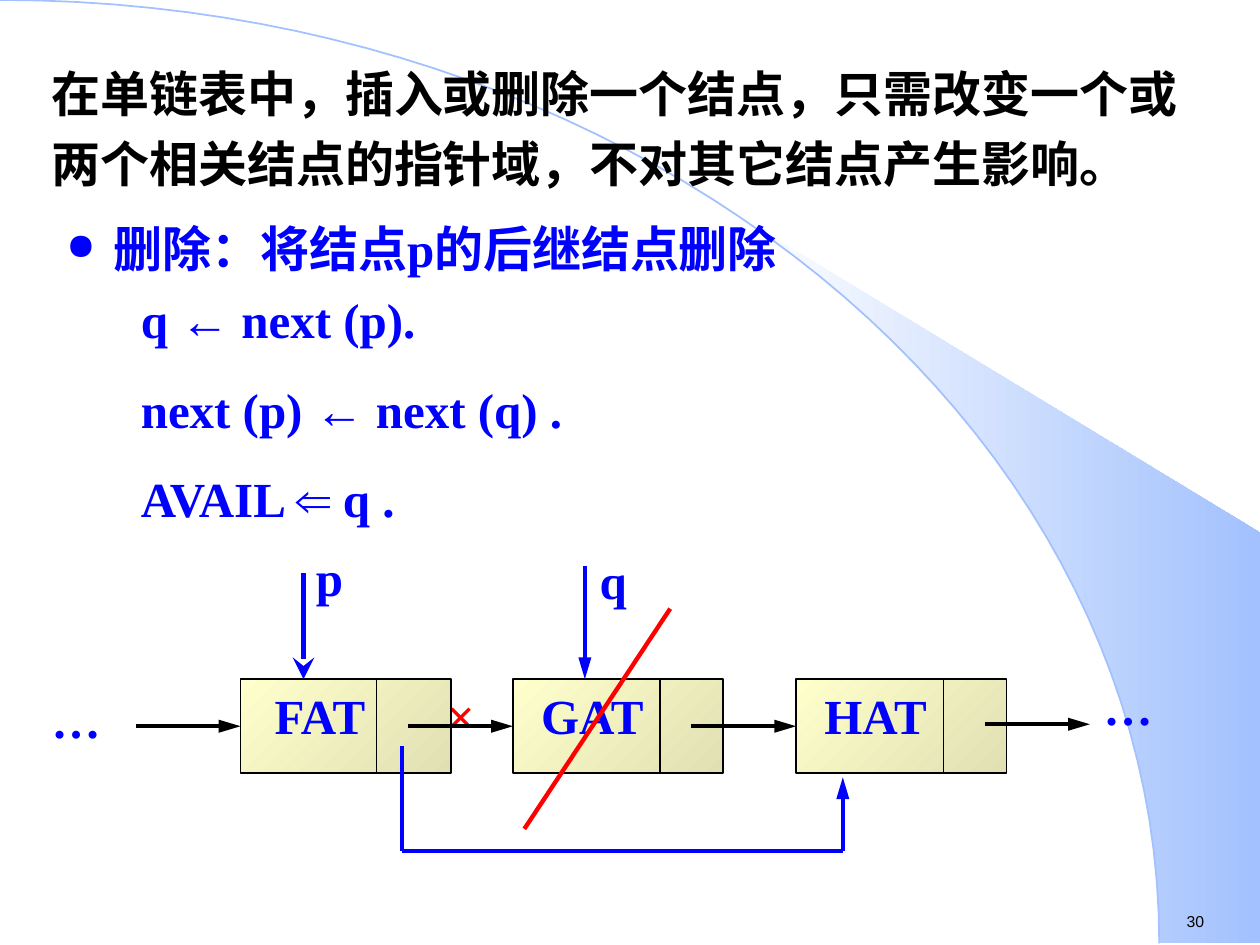
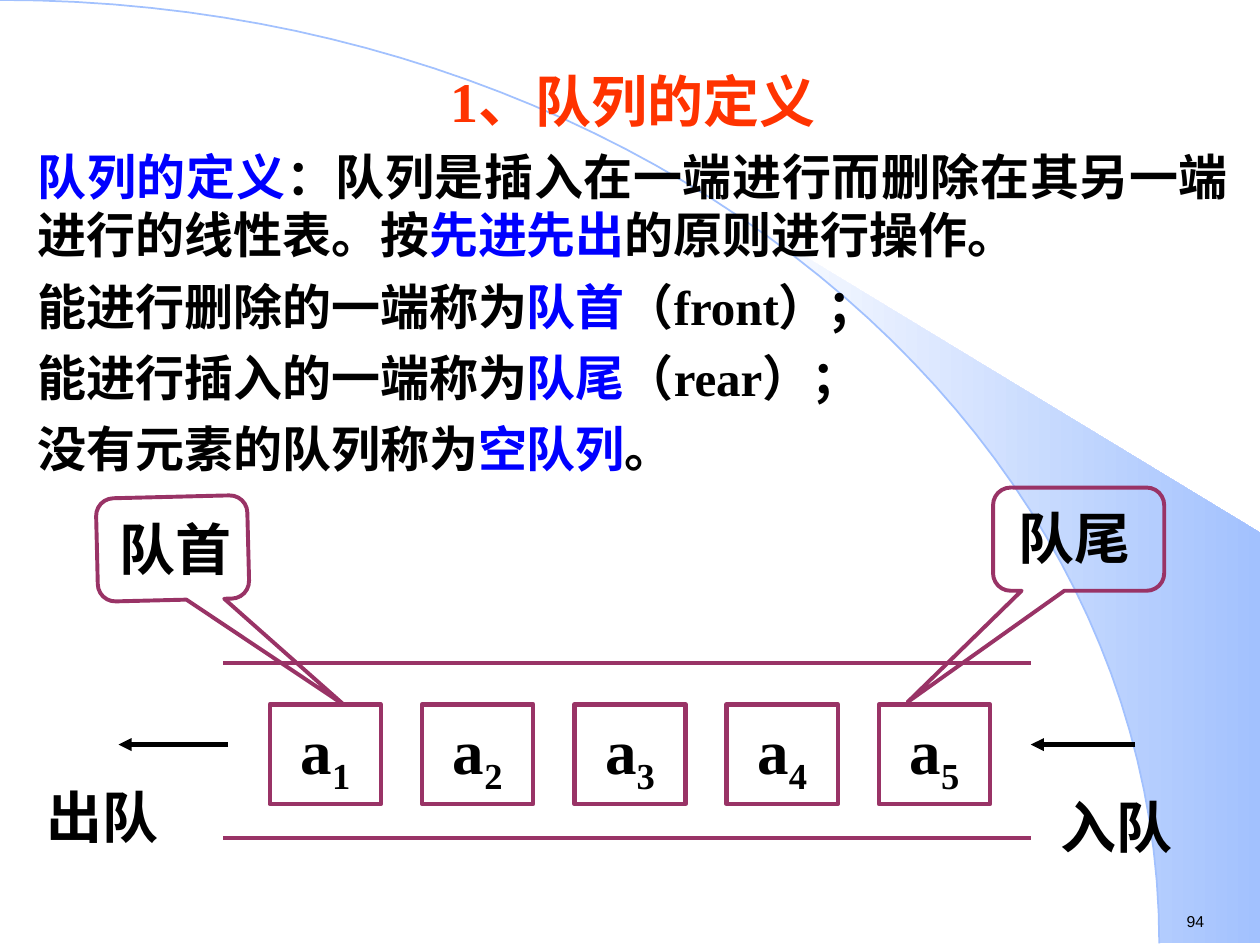
from lxml import etree
from pptx import Presentation
from pptx.dml.color import RGBColor
from pptx.enum.shapes import MSO_CONNECTOR, MSO_SHAPE
from pptx.enum.text import MSO_ANCHOR, PP_ALIGN as ALIGN
from pptx.oxml.ns import qn
from pptx.util import Cm, Pt

BLACK = RGBColor(0x00, 0x00, 0x00)
WHITE = RGBColor(0xFF, 0xFF, 0xFF)
BLUE = RGBColor(0x00, 0x00, 0xFF)
RED = RGBColor(0xFF, 0x00, 0x00)
ORANGE = RGBColor(0xFF, 0x33, 0x00)
PLUM = RGBColor(0x99, 0x33, 0x66)
SKY = RGBColor(0xA2, 0xC1, 0xFE)
CREAM = RGBColor(0xFF, 0xFF, 0xCC)
KHAKI = RGBColor(0xE0, 0xE0, 0xB3)

SERIF = "Times New Roman"
SANS = "Arial"
THICK = 2.5
ARC_STEPS = 50
WEDGE_START = 22  # arc step at which the shaded wedge begins


# ---- Shared helpers (all lengths in centimetres) ----

def write_para(para, runs, size=28, color=BLACK, font=SERIF, bold=True):
    """Each run is a (text, overrides) pair; overrides may hold color, font, shift."""
    for text, look in runs:
        span = para.add_run()
        span.text = text
        span.font.size = Pt(size)
        span.font.bold = bold
        span.font.name = look.get("font", font)
        span.font.color.rgb = look.get("color", color)
        if "shift" in look:
            span.font._element.set("baseline", str(look["shift"]))


def add_text(page, left, top, width, height, text, align=None, spacing=None,
             wrap=True, **style):
    box = page.shapes.add_textbox(Cm(left), Cm(top), Cm(width), Cm(height))
    box.text_frame.word_wrap = wrap
    para = box.text_frame.paragraphs[0]
    para.alignment = align
    para.line_spacing = spacing
    write_para(para, [(text, {})], **style)
    return box


def add_line(page, start, end, color, width=THICK, head=None, head_width="med",
             head_length="med"):
    line = page.shapes.add_connector(
        MSO_CONNECTOR.STRAIGHT, *(Cm(value) for value in (*start, *end)))
    line.line.color.rgb = color
    line.line.width = Pt(width)
    if head:
        etree.SubElement(line.line._get_or_add_ln(), qn("a:tailEnd"),
                         type=head, w=head_width, len=head_length)
    etree.SubElement(line._element.spPr, qn("a:effectLst"))
    return line


def fill_gradient(shape, first, last, angle):
    shape.fill.gradient()
    shape.fill.gradient_angle = (360 - angle) % 360
    for stop, color in zip(shape.fill.gradient_stops, (first, last)):
        stop.color.rgb = color


def add_outlined(page, kind, left, top, width, height, color, line_width):
    shape = page.shapes.add_shape(kind, Cm(left), Cm(top), Cm(width), Cm(height))
    shape.shadow.inherit = False
    shape.line.color.rgb = color
    shape.line.width = Pt(line_width)
    return shape


def add_outline(page, points, close):
    corners = [(Cm(x), Cm(y)) for x, y in points]
    builder = page.shapes.build_freeform(*corners[0])
    builder.add_line_segments(corners[1:], close=close)
    shape = builder.convert_to_shape()
    shape.shadow.inherit = False
    return shape


def bezier(t, a, b, c, d):
    u = 1 - t
    return u**3 * a + 3 * u**2 * t * b + 3 * u * t**2 * c + t**3 * d


def new_page(deck, number):
    """A blank page with the sweeping arc, shaded wedge and page number."""
    page = deck.slides.add_slide(deck.slide_layouts[6])
    steps = [step / ARC_STEPS for step in range(ARC_STEPS + 1)]
    arc = [(bezier(t, 0, 12.9, 23.37, 23.37), bezier(t, 0, 0, 8.51, 19.02))
           for t in steps]

    wedge = add_outline(page, arc[WEDGE_START:] + [(25.4, 19.02), (25.4, 10.74)], True)
    fill_gradient(wedge, WHITE, SKY, 0)
    wedge.line.fill.background()

    curve = add_outline(page, arc, False)
    curve.fill.background()
    curve.line.color.rgb = SKY
    curve.line.width = Pt(1)

    add_text(page, 23.67, 18.26, 1.96, 0.64, number, wrap=False,
             size=9, font=SANS, bold=False)
    return page


# ---- Linked list page ----

def add_bullet(para, color):
    properties = para._p.get_or_add_pPr()
    properties.set("marL", str(Cm(0.95)))
    properties.set("indent", str(-Cm(0.95)))
    bullet_color = etree.SubElement(properties, qn("a:buClr"))
    etree.SubElement(bullet_color, qn("a:srgbClr"), val=str(color))
    etree.SubElement(properties, qn("a:buSzPct"), val="75000")
    etree.SubElement(properties, qn("a:buChar"), char="●")


def add_deletion_steps(page, left, top):
    box = page.shapes.add_textbox(Cm(left), Cm(top), Cm(15.8), Cm(5.05))
    frame = box.text_frame
    frame.word_wrap = True
    steps = [("q ", "←", " next (p)."),
             ("next (p) ", "←", " next (q) ."),
             ("AVAIL ", "⇐", " q .")]
    for index, (target, arrow, source) in enumerate(steps):
        para = frame.add_paragraph() if index else frame.paragraphs[0]
        if index:
            para.space_before = Pt(17.5)
        write_para(para, [(target, {}), (arrow, {"font": SANS}), (source, {})],
                   color=BLUE)


def add_node(page, left, top, name, divider):
    node = add_outlined(page, MSO_SHAPE.RECTANGLE, left, top, 4.24, 1.9, BLACK, 1)
    fill_gradient(node, CREAM, KHAKI, 45)
    add_line(page, (left + divider, top), (left + divider, top + 1.9), BLACK, 1)
    add_text(page, left + 0.23, top, 2.74, 1.45, name, ALIGN.CENTER, color=BLUE)
    return node


def add_list_diagram(page, left, top):
    """Nodes in a row; left and top mark the corner of the first node."""
    middle = top + 0.95
    offsets = {"FAT": 0, "GAT": 5.49, "HAT": 11.2}
    dividers = {"FAT": 2.74, "GAT": 2.97, "HAT": 2.97}

    # Ellipses at both ends and the cross on the broken link
    for x, y in ((left - 4.06, top + 0.03), (left + 17.15, top - 0.23)):
        add_text(page, x, y, 2.11, 1.5, "…", spacing=1.05, color=BLUE)
    add_text(page, left + 3.91, top, 1.93, 1.45, "×", color=RED)

    # Nodes, each with the link that enters it, then the link that leaves
    nodes = {name: add_node(page, left + x, top, name, dividers[name])
             for name, x in offsets.items()}
    for name, x in offsets.items():
        link = add_line(page, (left + x - 2.11, middle), (left + x, middle), BLACK,
                        head="triangle", head_length="lg")
        link.end_connect(nodes[name], 1)
    add_line(page, (left + 15.01, middle - 0.04), (left + 17.12, middle - 0.04), BLACK,
             head="triangle", head_length="lg")

    # Pointers p and q
    pointers = [("p", 1.27, 2.13, 1.27, 2.77, "stealth", "lg"),
                ("q", 6.94, 2.28, 6.99, 2.72, "triangle", "med")]
    for name, x, rise, label_x, label_rise, head, head_width in pointers:
        add_line(page, (left + x, top - rise), (left + x, top), BLUE,
                 head=head, head_width=head_width, head_length="lg")
        add_text(page, left + label_x, top - label_rise, 1.27, 1.45, name, color=BLUE)

    # New link that goes round the deleted node
    bends = [(3.25, 1.35), (3.25, 3.46), (12.14, 3.46), (12.14, 1.98)]
    bends = [(left + x, top + y) for x, y in bends]
    for start, end in zip(bends, bends[1:]):
        add_line(page, start, end, BLUE, head_length="lg",
                 head="triangle" if end == bends[-1] else None)

    # Strike through the deleted node
    add_line(page, (left + 8.66, top - 1.42), (left + 5.72, top + 3.02), RED)


def build_linked_list_page(deck):
    page = new_page(deck, "30")
    heading = add_text(page, 1.09, 4.42, 16.2, 1.75, "删除：将结点p的后继结点删除",
                       spacing=0.9, color=BLUE)
    add_bullet(heading.text_frame.paragraphs[0], BLUE)
    add_text(page, 0.79, 0.91, 23.24, 3.1,
             "在单链表中，插入或删除一个结点，只需改变一个或两个相关结点的指针域，"
             "不对其它结点产生影响。", spacing=1.2)
    add_list_diagram(page, 4.85, 13.69)
    add_deletion_steps(page, 2.59, 5.72)


# ---- Queue page ----

def add_definition(page, left, top):
    box = page.shapes.add_textbox(Cm(left), Cm(top), Cm(24.51), Cm(8.51))
    frame = box.text_frame
    frame.word_wrap = True
    title = frame.paragraphs[0]
    title.alignment = ALIGN.CENTER
    write_para(title, [("1、队列的定义", {})], size=32, color=ORANGE)

    term = {"color": BLUE}
    statements = [
        [("队列的定义", term),
         ("：队列是插入在一端进行而删除在其另一端进行的线性表。按", {}),
         ("先进先出", term), ("的原则进行操作。", {})],
        [("能进行删除的一端称为", {}), ("队首", term), ("（front）；", {})],
        [("能进行插入的一端称为", {}), ("队尾", term), ("（rear）；", {})],
        [("没有元素的队列称为", {}), ("空队列", term), ("。", {})],
    ]
    for index, runs in enumerate(statements):
        para = frame.add_paragraph()
        para.alignment = ALIGN.LEFT if index else ALIGN.JUSTIFY
        para.space_before = Pt(7)
        write_para(para, runs)


def add_cell(page, left, top, index):
    cell = add_outlined(page, MSO_SHAPE.RECTANGLE, left, top, 2.24, 2.01, PLUM, THICK)
    cell.fill.solid()
    cell.fill.fore_color.rgb = WHITE
    cell.text_frame.vertical_anchor = MSO_ANCHOR.MIDDLE
    para = cell.text_frame.paragraphs[0]
    para.alignment = ALIGN.CENTER
    write_para(para, [("a", {}), (str(index), {"shift": -25000})], size=36)


def add_callout(page, left, top, width, height, adjustments, rotation=0):
    callout = add_outlined(page, MSO_SHAPE.ROUNDED_RECTANGULAR_CALLOUT,
                           left, top, width, height, PLUM, 2.25)
    callout.fill.background()
    callout.rotation = rotation
    for index, value in enumerate(adjustments):
        callout.adjustments[index] = value


def add_queue_diagram(page, left, top):
    """Queue between two rails; left and top mark the start of the upper rail."""
    for index in range(5):
        add_cell(page, left + 0.94 + index * 3.07, top + 0.84, index + 1)
    for y in (top, top + 3.53):
        add_line(page, (left, y), (left + 16.28, y), PLUM)

    # Arrows out of the front and into the rear
    for start, end in ((0.1, -2.11), (18.39, 16.28)):
        add_line(page, (left + start, top + 1.65), (left + end, top + 1.65), BLACK,
                 head="triangle")

    # Callouts and labels
    add_callout(page, left + 15.52, top - 3.53, 3.45, 2.08, (-1, 1.58, 0.17))
    add_callout(page, left - 2.06, top - 3.83, 2.08, 3.05, (-1.56, 1.11, 0.17), 268.6)
    labels = [("队尾", 15.79, -3.33), ("队首", -2.34, -3.12),
              ("入队", 16.63, 2.49), ("出队", -3.81, 2.29)]
    for text, x, y in labels:
        add_text(page, left + x, top + y, 3.38, 1.63, text, size=32)


def build_queue_page(deck):
    page = new_page(deck, "94")
    add_definition(page, 0.51, 1.22)
    add_queue_diagram(page, 4.5, 13.36)


def main():
    deck = Presentation()
    deck.slide_width, deck.slide_height = Cm(25.4), Cm(19.05)
    build_linked_list_page(deck)
    build_queue_page(deck)
    deck.save("out.pptx")


if __name__ == "__main__":
    main()
